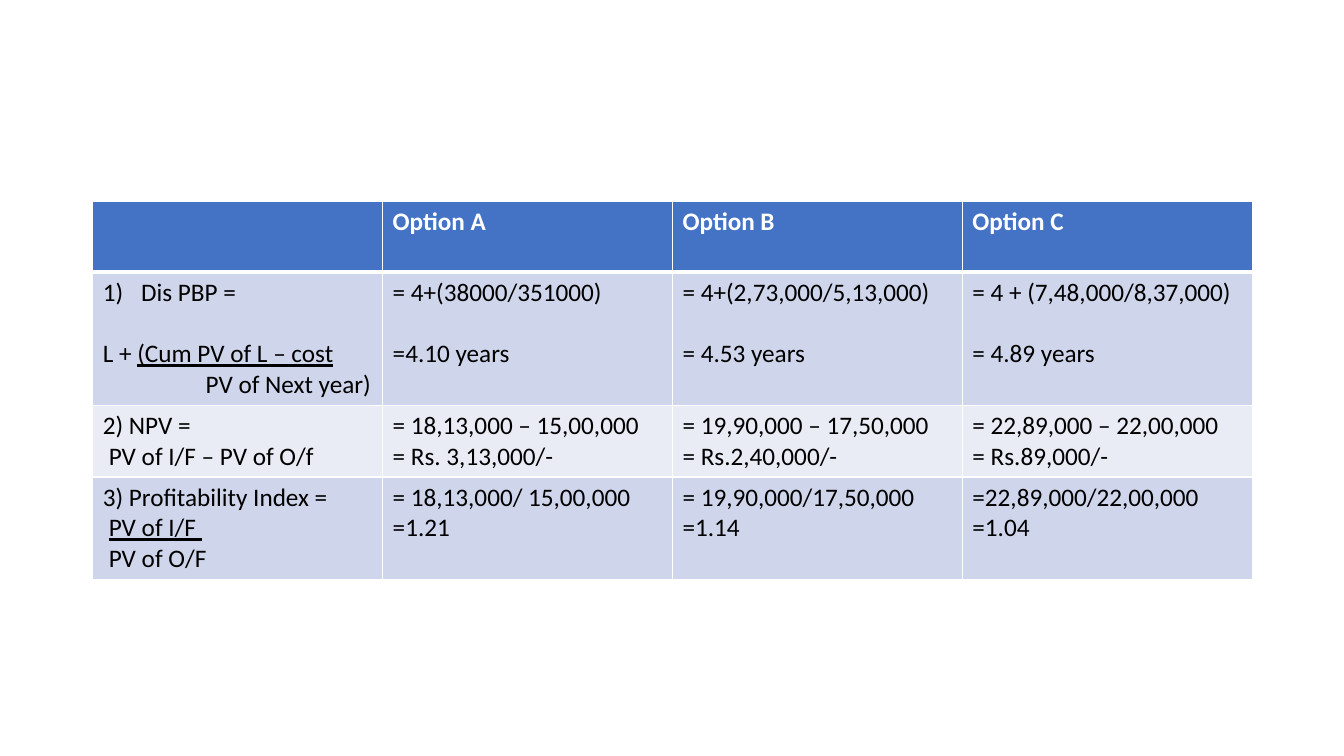
from dataclasses import dataclass

from lxml.etree import SubElement
from pptx import Presentation
from pptx.dml.color import RGBColor
from pptx.oxml.ns import qn
from pptx.table import _Cell as Cell
from pptx.util import Inches, Pt

WHITE, BLACK, BLUE = "FFFFFF", "000000", "4472C4"
DARK_BAND, LIGHT_BAND = "CFD5EA", "E9EBF5"
LINE_GAP = 22  # one 18 pt text line
THIN, THICK = 1, 3
FRACTION_INDENT = 0.06


@dataclass(frozen=True)
class Line:
    text: str
    underlined: str = ""
    gap: float = 0
    indent: float = 0
    numbered: bool = False


@dataclass(frozen=True)
class Row:
    height: float
    fill: str
    cells: list[list[Line]]
    font: dict
    top: float = THIN
    bottom: float = THIN


HEADER_FONT = {"name": "Calibri", "size": Pt(18), "bold": True}
BODY_FONT = {**HEADER_FONT, "bold": False}


def answer(formula: str, result: str, gap: float = 0) -> list[Line]:
    return [Line(formula), Line(result, gap=gap)]


ROWS = [
    Row(0.7, BLUE, [[], *([Line(f"Option {letter}")] for letter in "ABC")],
        HEADER_FONT, bottom=THICK),
    Row(1.32, DARK_BAND, [
        [Line("Dis PBP =", indent=0.38, numbered=True),
         Line("L + ", "(Cum PV of L – cost", gap=LINE_GAP),
         Line("PV of Next year)", indent=1.02)],
        answer("= 4+(38000/351000)", "=4.10 years", LINE_GAP),
        answer("= 4+(2,73,000/5,13,000)", "= 4.53 years", LINE_GAP),
        answer("= 4 + (7,48,000/8,37,000)", "= 4.89 years", LINE_GAP),
    ], BODY_FONT, top=THICK),
    Row(0.71, LIGHT_BAND, [
        [Line("2) NPV ="), Line("PV of I/F – PV of O/f", indent=FRACTION_INDENT)],
        answer("= 18,13,000 – 15,00,000", "= Rs. 3,13,000/-"),
        answer("= 19,90,000 – 17,50,000", "= Rs.2,40,000/-"),
        answer("= 22,89,000 – 22,00,000", "= Rs.89,000/-"),
    ], BODY_FONT),
    Row(1.02, DARK_BAND, [
        [Line("3) Profitability Index ="),
         Line("", "PV of I/F ", indent=FRACTION_INDENT),
         Line("PV of O/F", indent=FRACTION_INDENT)],
        answer("= 18,13,000/ 15,00,000", "=1.21"),
        answer("= 19,90,000/17,50,000", "=1.14"),
        answer("=22,89,000/22,00,000", "=1.04"),
    ], BODY_FONT),
]


def color(value: str) -> RGBColor:
    return RGBColor.from_string(value)


def set_borders(cell: Cell, top: float, bottom: float) -> None:
    properties = cell._tc.get_or_add_tcPr()
    for side, width in {"L": THIN, "R": THIN, "T": top, "B": bottom}.items():
        border = SubElement(properties, qn(f"a:ln{side}"), w=str(Pt(width)))
        fill = SubElement(border, qn("a:solidFill"))
        SubElement(fill, qn("a:srgbClr"), val=WHITE)


def write_lines(cell: Cell, lines: list[Line], font: dict, font_color: str) -> None:
    frame = cell.text_frame
    for index, line in enumerate(lines):
        paragraph = frame.add_paragraph() if index else frame.paragraphs[0]
        if line.gap:
            paragraph.space_before = Pt(line.gap)
        if line.indent:
            properties = paragraph._p.get_or_add_pPr()
            properties.set("marL", str(Inches(line.indent)))
            if line.numbered:
                properties.set("indent", str(-Inches(line.indent)))
                SubElement(properties, qn("a:buAutoNum"), type="arabicParenR")
        for text, underline in ((line.text, False), (line.underlined, True)):
            if text:
                run = paragraph.add_run()
                run.text = text
                for name, value in {**font, "underline": underline}.items():
                    setattr(run.font, name, value)
                run.font.color.rgb = color(font_color)


def main() -> None:
    presentation = Presentation()
    presentation.slide_width, presentation.slide_height = Inches(13.33), Inches(7.5)
    slide = presentation.slides.add_slide(presentation.slide_layouts[6])

    # Comparison table
    height = sum(row.height for row in ROWS)
    table = slide.shapes.add_table(
        len(ROWS), len(ROWS[0].cells),
        Inches(0.92), Inches(2), Inches(11.5), Inches(height)).table

    # Rows and cells
    for row_index, row in enumerate(ROWS):
        table.rows[row_index].height = Inches(row.height)
        for column_index, lines in enumerate(row.cells):
            cell = table.cell(row_index, column_index)
            set_borders(cell, row.top, row.bottom)
            cell.fill.solid()
            cell.fill.fore_color.rgb = color(row.fill)
            write_lines(cell, lines, row.font, WHITE if row.fill == BLUE else BLACK)

    presentation.save("out.pptx")


if __name__ == "__main__":
    main()
